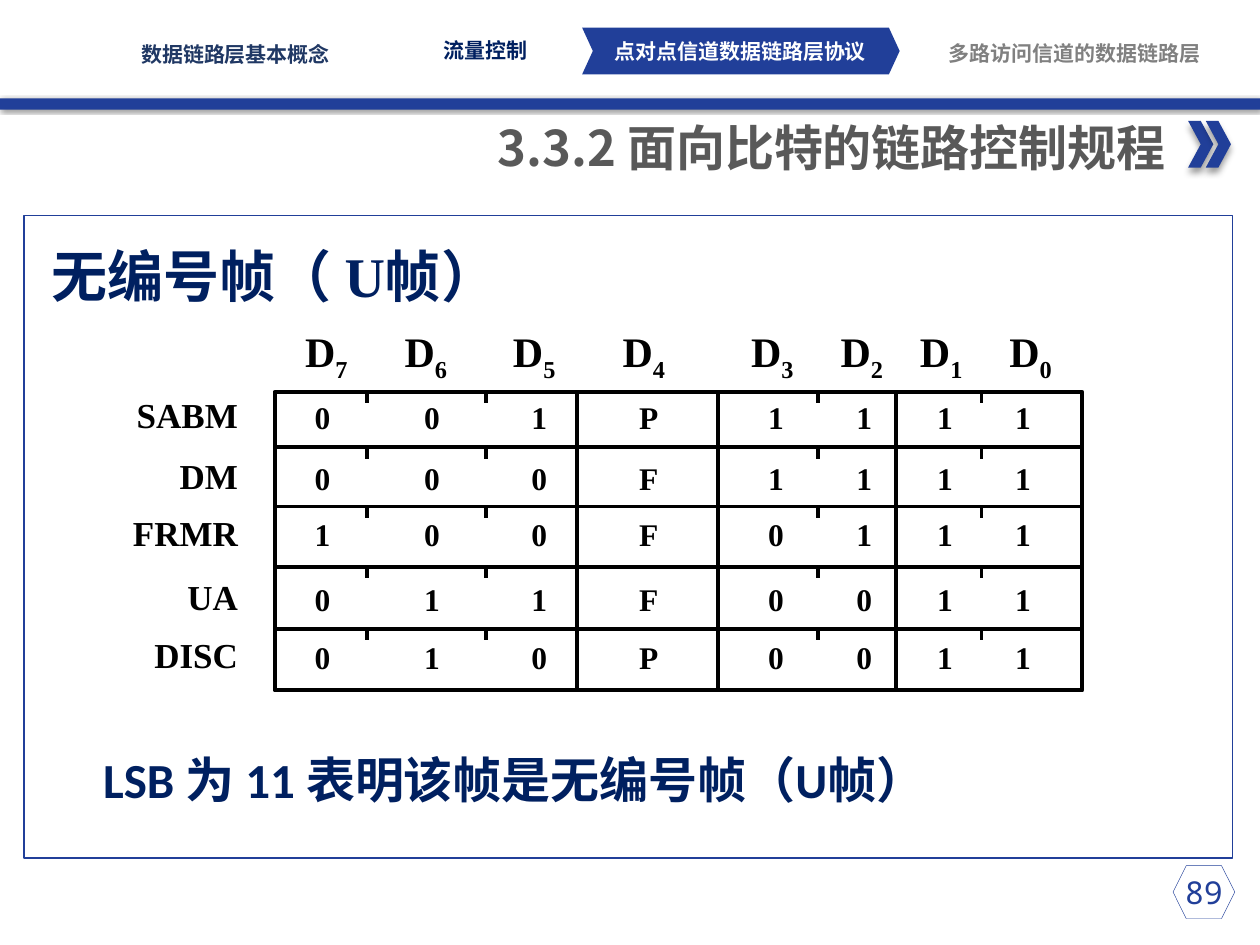
from dataclasses import dataclass

from lxml import etree
from pptx import Presentation
from pptx.dml.color import RGBColor
from pptx.enum.shapes import MSO_CONNECTOR, MSO_SHAPE
from pptx.enum.text import MSO_ANCHOR, MSO_AUTO_SIZE, PP_ALIGN
from pptx.oxml.ns import qn
from pptx.util import Inches, Pt

RECT, HEX, CHEVRON = MSO_SHAPE.RECTANGLE, MSO_SHAPE.HEXAGON, MSO_SHAPE.CHEVRON
LINE = MSO_CONNECTOR.STRAIGHT
LEFT, MID, RIGHT = PP_ALIGN.LEFT, PP_ALIGN.CENTER, PP_ALIGN.RIGHT
TOP, CENTER, BASE = MSO_ANCHOR.TOP, MSO_ANCHOR.MIDDLE, MSO_ANCHOR.BOTTOM
TITLE_ONLY = 5
COLS, ROWS = 100, 75  # slide grid, each cell a tenth of an inch


@dataclass(frozen=True)
class Theme:
    blue: str = "213F99"
    navy: str = "002060"
    slate: str = "203864"
    gray: str = "808080"
    dark: str = "595959"
    black: str = "000000"
    white: str = "FFFFFF"
    serif: str = "Times New Roman"
    sans: str = "Calibri"
    narrow: str = "Arial Narrow"
    mono: str = "Noto Sans Mono"
    asian: str = "Noto Sans CJK SC"
    tab: int = 12
    bit: int = 18
    label: int = 20
    head: int = 24
    title: int = 28
    lead: int = 32


T = Theme()


def grid(*cells):
    return [Inches(cell / 10) for cell in cells]


def write(frame, text, size, color, font=T.serif, align=MID, anchor=TOP,
          pad=True, wrap=True, bold=True, sub=""):
    """Fill a text frame; sub is set as a subscript after the text."""
    frame.word_wrap, frame.auto_size = wrap, MSO_AUTO_SIZE.NONE
    frame.vertical_anchor = anchor
    side, edge = grid(1, 0.5) if pad else (0, 0)
    frame.margin_left = frame.margin_right = side
    frame.margin_top = frame.margin_bottom = edge
    para = frame.paragraphs[0]
    para.alignment = align
    for part in filter(None, (text, sub)):
        run = para.add_run()
        run.text = part
        run.font.size, run.font.bold, run.font.name = Pt(size), bold, font
        run.font.color.rgb = RGBColor.from_string(color)
        props = run.font._element
        etree.SubElement(props, qn("a:ea"), typeface=T.asian)
    if sub:
        props.set("baseline", "-25000")
    return para


def label(slide, box, text, size, color, **form):
    frame = slide.shapes.add_textbox(*grid(*box)).text_frame
    return write(frame, text, size, color, **form)


def draw(slide, kind, box, fill=None, line=None, width=1.0):
    shape = slide.shapes.add_shape(kind, *grid(*box))
    shape.shadow.inherit = False
    if fill:
        shape.fill.solid()
        shape.fill.fore_color.rgb = RGBColor.from_string(fill)
    else:
        shape.fill.background()
    if line:
        shape.line.color.rgb = RGBColor.from_string(line)
        shape.line.width = Pt(width)
    else:
        shape.line.fill.background()
    return shape


def shade(shape, blur, dist, angle):
    effects = shape._element.spPr.find(qn("a:effectLst"))
    outer = etree.SubElement(effects, qn("a:outerShdw"), blurRad=str(Pt(blur)),
                             dist=str(Pt(dist)), dir=str(angle * 60000),
                             algn="t", rotWithShape="0")
    tone = etree.SubElement(outer, qn("a:srgbClr"), val=T.black)
    etree.SubElement(tone, qn("a:alpha"), val="40000")


def rule(slide, x1, y1, x2, y2):
    line = slide.shapes.add_connector(LINE, *grid(x1, y1, x2, y2))
    line.line.color.rgb = RGBColor.from_string(T.black)
    line.line.width = Pt(2.25)
    etree.SubElement(line._element.spPr, qn("a:effectLst"))


def nav(slide, box):
    x, y, w, h = box
    # Blue bar along the foot, arrow behind the current section
    shade(draw(slide, RECT, (x, y + h - 0.9, w, 0.9), T.blue), 2, 1, 45)
    arrow = draw(slide, CHEVRON, (x + 46.2, y + 2.2, 25.2, 3.7), T.blue)
    arrow.adjustments[0] = 0.23
    tabs = (("数据链路层基本概念", 9.2, 3.3, 19, T.slate),
            ("流量控制", 32, 3, 13, T.navy),
            ("点对点信道数据链路层协议", 47.5, 3.1, 22.5, T.white),
            ("多路访问信道的数据链路层", 75.1, 3.2, 20.4, T.gray))
    for text, left, top, wide, color in tabs:
        label(slide, (x + left, y + top, wide, 2), text, T.tab, color,
              font=T.narrow, anchor=CENTER, pad=False)


def heading(slide, box):
    x, y, w, h = box
    title = slide.shapes.title
    title.left, title.top, title.width, title.height = grid(x, y, w - 4.2, h)
    write(title.text_frame, "3.3.2 面向比特的链路控制规程", T.title, T.dark,
          font=T.asian, align=RIGHT, wrap=False)
    # Double arrow at the right end
    for left in (w - 3.4, w - 2):
        shade(draw(slide, CHEVRON, (x + left, y + 0.8, 2, 3.7), T.blue),
              4, 3, 90)


def panel(slide, box):
    x, y, w, h = box
    draw(slide, RECT, box, line=T.blue, width=0.75)
    label(slide, (x + 1.2, y + 1.6, w - 3, 6.5), "无编号帧（ U帧）",
          T.lead, T.navy, align=LEFT)
    note = label(slide, (x + 5.3, y + 42.6, w - 10, 5),
                 "LSB 为 11 表明该帧是无编号帧（U帧）", T.title, T.navy,
                 font=T.sans, align=LEFT)
    note.line_spacing, note.space_before = 0.85, Pt(7)


def frames(slide, box):
    """Bit layout of each U frame; box is the ruled area."""
    x, y, w, h = box
    names = ("SABM", "DM", "FRMR", "UA", "DISC")
    bits = ("001P1111", "000F1111", "100F0111", "011F0011", "010P0011")
    tops = (0, 4.4, 9.1, 13.9, 18.8)
    feet = (3.5, 8.3, 12.8, 17.9, 22.5)
    mids = (3.8, 12.5, 21, 29.7, 39.8, 46.8, 53.2, 59.4)
    heads = (4.1, 12, 20.6, 29.3, 39.5, 46.6, 52.9, 60)

    # Outline, field dividers and bit ticks
    draw(slide, RECT, box, line=T.black, width=2.25)
    for col in (24, 35.2, 49.3):
        rule(slide, x + col, y, x + col, y + h)
    for top in tops:
        if top:
            rule(slide, x, y + top, x + w, y + top)
        for tick in (7.3, 16.8, 43.1, 56.1):
            rule(slide, x + tick, y + top, x + tick, y + top + 0.9)

    # Bit names above, frame names at the left, values inside
    for num, mid in zip(range(7, -1, -1), heads):
        label(slide, (x + mid - 2.4, y - 4.9, 4.8, 4.2), "D", T.head, T.black,
              anchor=BASE, pad=False, sub=str(num))
    for name, row, foot in zip(names, bits, feet):
        label(slide, (x - 13.5, y + foot - 3.1, 10.6, 3.1), name, T.label,
              T.black, align=RIGHT, anchor=BASE, pad=False)
        for bit, mid in zip(row, mids):
            label(slide, (x + mid - 0.8, y + foot - 2.4, 1.6, 2.4), bit, T.bit,
                  T.black, anchor=BASE, pad=False)


def number(slide, box):
    x, y, w, h = box
    draw(slide, HEX, box, line=T.blue, width=0.25)
    label(slide, (x - 2, y + 0.1, w + 4, 4), "89", T.bit, T.blue,
          font=T.mono, bold=False)


def main():
    deck = Presentation()
    deck.slide_width, deck.slide_height = grid(COLS, ROWS)
    slide = deck.slides.add_slide(deck.slide_layouts[TITLE_ONLY])
    nav(slide, (0, 0, COLS, 8.7))
    number(slide, (93.1, 68.7, 4.9, 4.2))
    heading(slide, (37.4, 8.8, 60.3, 5.7))
    panel(slide, (1.9, 17.1, 95.9, 51))
    frames(slide, (21.8, 31.1, 64.1, 23.7))
    deck.save("out.pptx")


if __name__ == "__main__":
    main()
